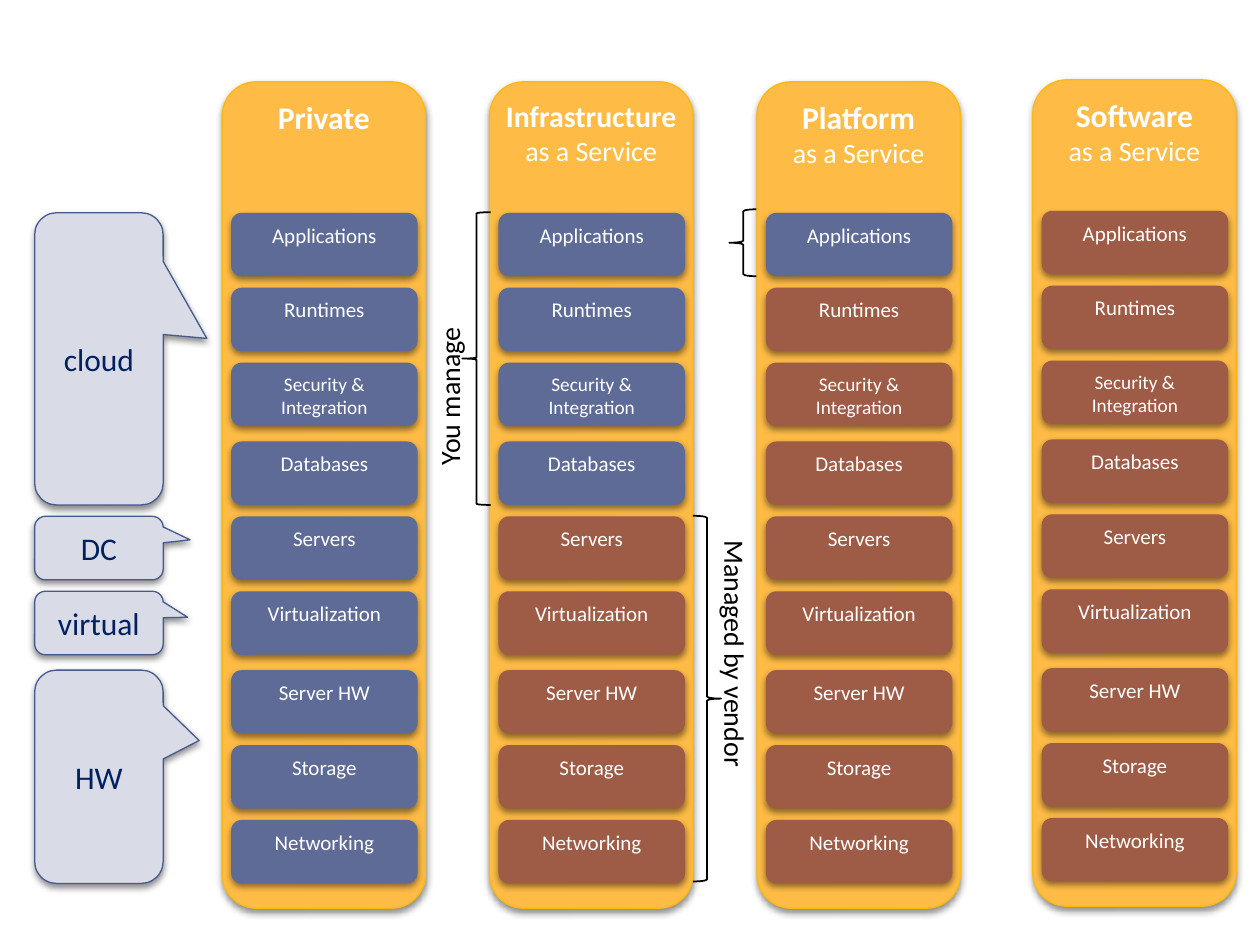
import pptx
import pptx.util
import pptx.dml.color
import pptx.enum.shapes
import pptx.enum.text
import pptx.oxml.ns
import lxml.etree

Cm, Pt = pptx.util.Cm, pptx.util.Pt
KIND = pptx.enum.shapes.MSO_SHAPE
ALIGN = pptx.enum.text.PP_ALIGN
ANCHOR = pptx.enum.text.MSO_ANCHOR

FONT = "Calibri"
WHITE, BLACK, NAVY = "FFFFFF", "000000", "002060"
GOLD, AMBER = "FEBC46", "FEB80A"
BLUE, BROWN = "5E6B96", "9E5B45"
PALE, STEEL = "D9DCE7", "475A8D"

LAYERS = ["Applications", "Runtimes", "Security & Integration",
          "Databases", "Servers", "Virtualization",
          "Server HW", "Storage", "Networking"]
TOP, LEFT, PITCH = 1.65, 4.48, 5.39
WIDE, TALL = 4.1, 16.66
TILE = 1.28


def color(code):
    return pptx.dml.color.RGBColor.from_string(code)


def layer_top(row):
    """Top of a layer within its column; layers stand in sets of three."""
    return 2.64 + 4.61 * (row // 3) + 1.51 * (row % 3)


def add_shadow(shape):
    props = shape.element.spPr
    shape.shadow.inherit = False
    effects = props.find(pptx.oxml.ns.qn("a:effectLst"))
    outer = lxml.etree.SubElement(
        effects, pptx.oxml.ns.qn("a:outerShdw"), blurRad=str(Pt(4)),
        dist=str(Pt(2)), dir="5400000", rotWithShape="0")
    tint = lxml.etree.SubElement(
        outer, pptx.oxml.ns.qn("a:srgbClr"), val=BLACK)
    lxml.etree.SubElement(tint, pptx.oxml.ns.qn("a:alpha"), val="45000")


def add_run(para, text, size, ink, bold=False):
    run = para.add_run()
    run.text = text
    run.font.name = FONT
    run.font.size = Pt(size)
    run.font.bold = bold
    run.font.color.rgb = color(ink)


def add_block(slide, kind, box, fill, line, lines, ink=WHITE,
              anchor=ANCHOR.TOP):
    """Filled shape with centred lines, each (text, size, bold)."""
    shape = slide.shapes.add_shape(kind, *map(Cm, box))
    shape.fill.solid()
    shape.fill.fore_color.rgb = color(fill)
    if line:
        shape.line.color.rgb = color(line)
        shape.line.width = Pt(0.75)
    else:
        shape.line.fill.background()
    add_shadow(shape)
    frame = shape.text_frame
    frame.word_wrap = True
    frame.vertical_anchor = anchor
    for spot, (text, size, bold) in enumerate(lines):
        para = frame.add_paragraph() if spot else frame.paragraphs[0]
        para.alignment = ALIGN.CENTER
        add_run(para, text, size, ink, bold)
    return shape


def add_column(slide, left, top, heads, own):
    """Service model whose first `own` layers are run by the customer."""
    panel = add_block(slide, KIND.ROUNDED_RECTANGLE,
                      (left, top, WIDE, TALL), GOLD, AMBER, heads)
    for row, name in enumerate(LAYERS):
        box = (left + 0.18, top + layer_top(row), WIDE - 0.34, TILE)
        size = 11 if len(name) > 15 else 12
        add_block(slide, KIND.ROUNDED_RECTANGLE, box,
                  BLUE if row < own else BROWN, None, [(name, size, False)])
    return panel


def add_brace(slide, box, bend, flip=False):
    brace = slide.shapes.add_shape(KIND.LEFT_BRACE, *map(Cm, box))
    brace.adjustments[0] = bend
    brace.adjustments[1] = 0.5
    brace.fill.background()
    brace.line.color.rgb = color(BLACK)
    brace.line.width = Pt(1)
    brace.shadow.inherit = False
    if flip:
        brace.element.spPr.xfrm.set("flipH", "1")


def add_side_label(slide, box, text, turn, wrap):
    frame = slide.shapes.add_textbox(*map(Cm, box)).text_frame
    frame.word_wrap = wrap
    frame.auto_size = pptx.enum.text.MSO_AUTO_SIZE.SHAPE_TO_FIT_TEXT
    body = frame._txBody.find(pptx.oxml.ns.qn("a:bodyPr"))
    body.set("vert", turn)
    add_run(frame.paragraphs[0], text, 16, BLACK)


def add_callout(slide, left, first, last, text, tip):
    """Callout beside the layers first to last, pointing at tip."""
    top = TOP + layer_top(first)
    tall = layer_top(last) - layer_top(first) + TILE
    shape = add_block(slide, KIND.ROUNDED_RECTANGULAR_CALLOUT,
                      (left, top, 2.59, tall), PALE, STEEL,
                      [(text, 18, False)], NAVY, ANCHOR.MIDDLE)
    for spot, value in enumerate((*tip, 0.17)):
        shape.adjustments[spot] = value


def main():
    deck = pptx.Presentation()
    deck.slide_width, deck.slide_height = Cm(25.4), Cm(19.05)
    slide = deck.slides.add_slide(deck.slide_layouts[6])

    tail = ("as a Service", 16, False)
    add_column(slide, LEFT, TOP, [("Private", 18, True)], 9)
    infra = add_column(slide, LEFT + PITCH, TOP,
                       [("Infrastructure", 17, True), tail], 4)
    infra.text_frame.margin_left = infra.text_frame.margin_right = 0

    add_brace(slide, (13.97, 10.4, 0.57, 7.37), 0.07, flip=True)
    add_side_label(slide, (14.17, 10.64, 1.12, 6.5), "Managed by vendor",
                   "eaVert", False)
    add_brace(slide, (9.32, 4.28, 0.57, 5.9), 0.04)
    add_side_label(slide, (8.59, 4.93, 1.12, 4.7), "You manage",
                   "vert270", True)
    add_brace(slide, (14.7, 4.22, 0.57, 1.35), 0.07)

    add_column(slide, LEFT + 2 * PITCH, TOP,
               [("Platform", 18, True), tail], 1)
    add_column(slide, 20.82, TOP - 0.04, [("Software", 18, True), tail], 0)

    for first, last, text, tip in [
            (6, 8, "HW", (0.78, -0.17)),
            (5, 5, "virtual", (0.69, -0.09)),
            (4, 4, "DC", (0.71, -0.13)),
            (0, 3, "cloud", (0.84, -0.07))]:
        add_callout(slide, 0.7, first, last, text, tip)
    deck.save("out.pptx")


if __name__ == "__main__":
    main()
